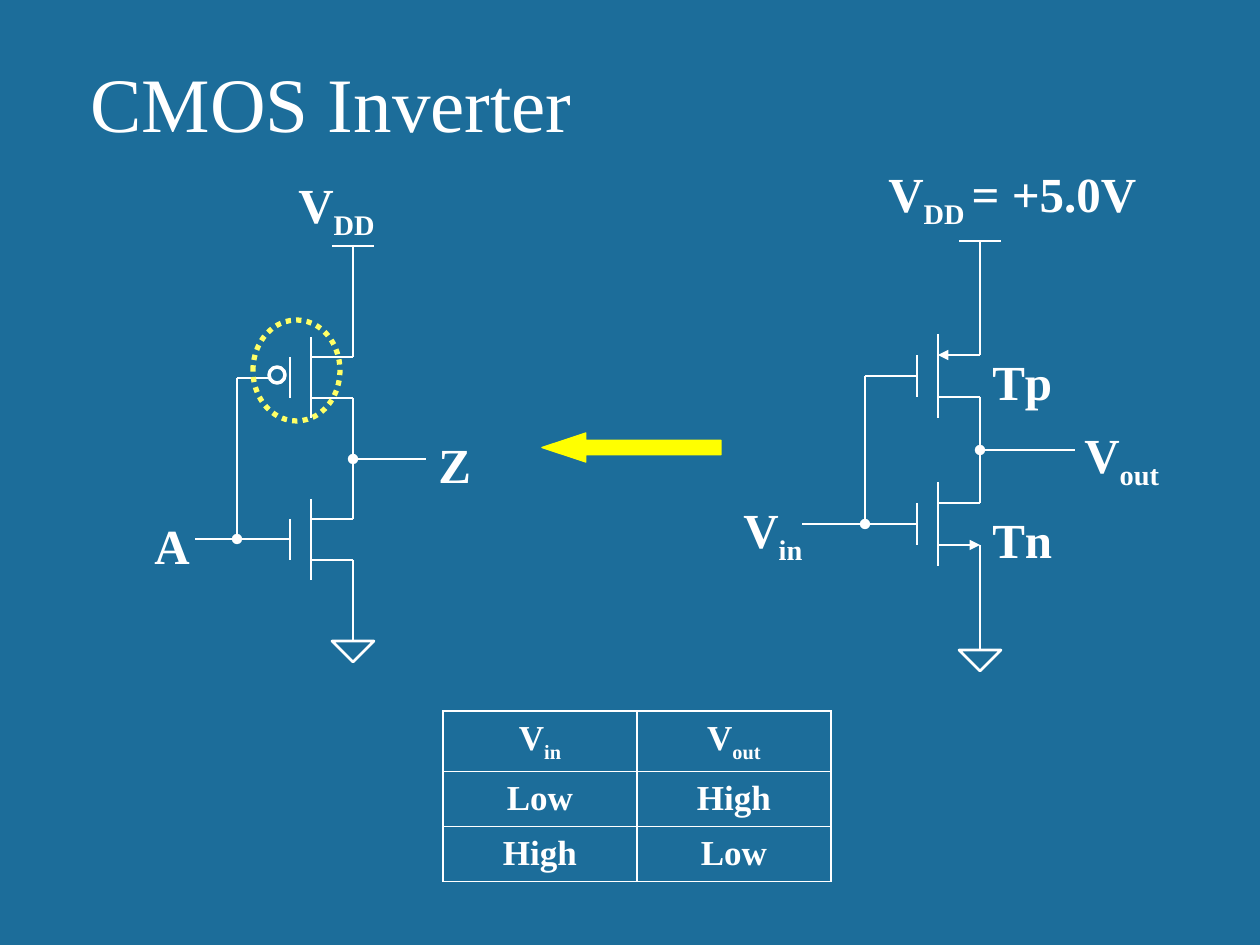
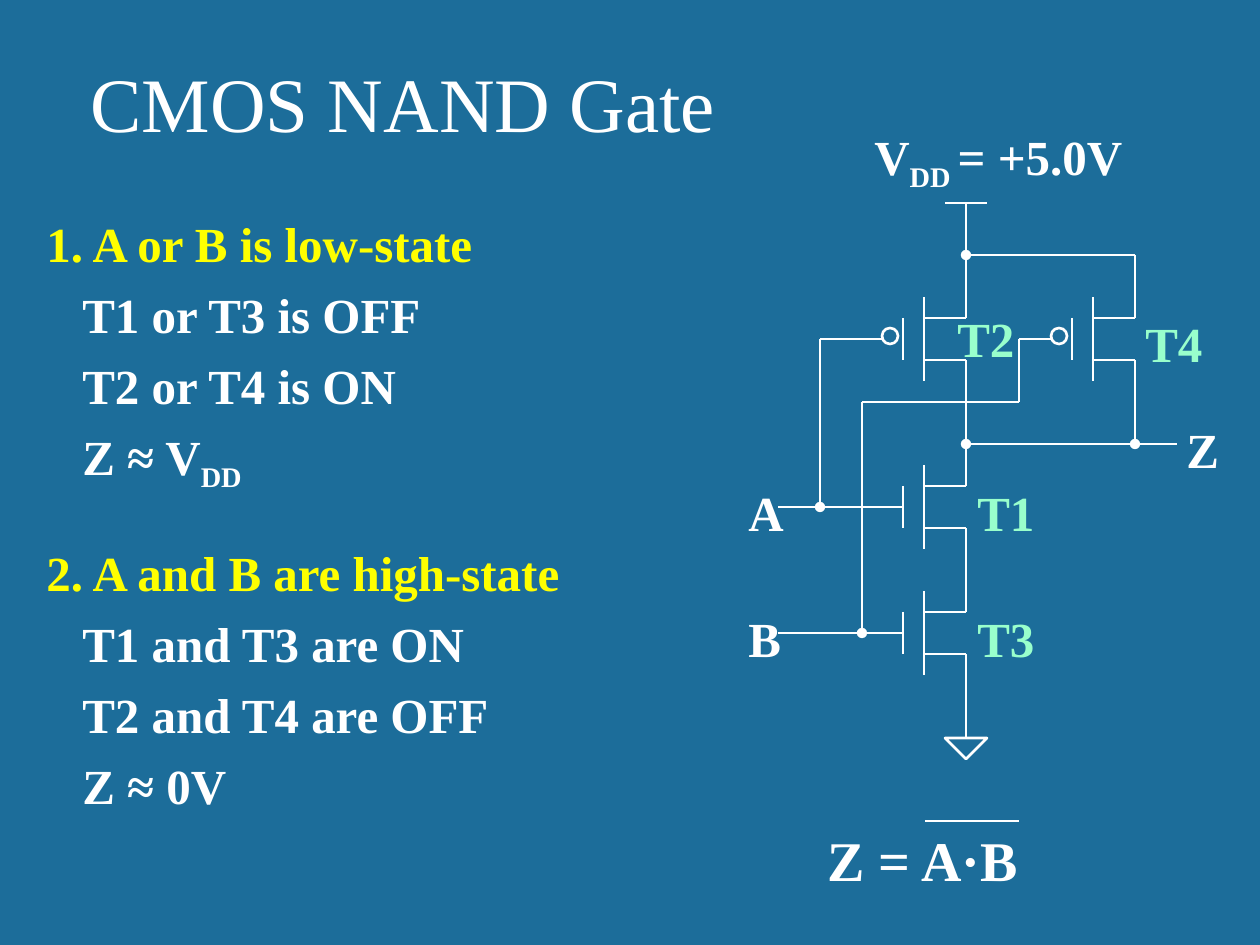
from dataclasses import dataclass
from itertools import pairwise
from lxml.etree import SubElement
from pptx import Presentation
from pptx.dml.color import RGBColor
from pptx.enum.dml import MSO_LINE
from pptx.enum.shapes import MSO_CONNECTOR, MSO_SHAPE
from pptx.enum.text import MSO_ANCHOR, MSO_AUTO_SIZE, PP_ALIGN
from pptx.oxml.ns import qn
from pptx.util import Emu, Pt

INK = {"back": "1C6D9A", "white": "FFFFFF", "lemon": "FFFF00",
       "pale": "FFFF66", "mint": "99FFCC"}
FACE = "Times New Roman"
FONT = {
    "title": {"name": FACE, "size": Pt(44), "bold": False},
    "label": {"name": FACE, "size": Pt(28), "bold": True},
    "cell": {"name": FACE, "size": Pt(20), "bold": True},
    "sum": {"name": FACE, "size": Pt(32), "bold": True},
}


def px(num):
    return Emu(round(num * 914400 / 126))


def tint(name):
    return RGBColor.from_string(INK[name])


def write(para, text, kind, ink="white"):
    """Add text to a paragraph; every second part between bars is a subscript."""
    for num, part in enumerate(text.split("|")):
        run = para.add_run()
        run.text = part
        for key, val in FONT[kind].items():
            setattr(run.font, key, val)
        run.font.color.rgb = tint(ink)
        if num % 2:
            run._r.get_or_add_rPr().set("baseline", "-25000")


@dataclass
class Pen:
    """Draws on a slide, measured from the corner of a region."""
    shapes: object
    left: int
    top: int

    def box(self, x, y, wide, high):
        return [px(num) for num in (self.left + x, self.top + y, wide, high)]

    def wire(self, *dots, head=None, tail=None):
        links = list(pairwise(dots))
        for num, (start, end) in enumerate(links):
            ends = [px(val) for x, y in (start, end)
                    for val in (self.left + x, self.top + y)]
            link = self.shapes.add_connector(MSO_CONNECTOR.STRAIGHT, *ends)
            link.line.color.rgb = tint("white")
            link.line.width = Pt(1.5)
            props = link._element.spPr
            line = props.find(qn("a:ln"))
            if head and num == 0:
                SubElement(line, qn("a:headEnd"), type=head)
            if tail and num == len(links) - 1:
                SubElement(line, qn("a:tailEnd"), type=tail)
            SubElement(props, qn("a:effectLst"))

    def form(self, kind, box, ink="white", width=1.5, fill=None):
        item = self.shapes.add_shape(kind, *self.box(*box))
        item.shadow.inherit = False
        item.line.color.rgb = tint(ink)
        item.line.width = Pt(width)
        if fill:
            item.fill.solid()
            item.fill.fore_color.rgb = tint(fill)
        else:
            item.fill.background()
        return item

    def label(self, text, x, y, wide=90, high=72, kind="label", ink="white"):
        frame = self.shapes.add_textbox(*self.box(x, y, wide, high)).text_frame
        frame.word_wrap = True
        write(frame.paragraphs[0], text, kind, ink)

    # Circuit parts; x is the column that joins source and drain
    def supply(self, x, y, low):
        self.wire((x - 21, y), (x + 21, y))
        self.wire((x, y), (x, low))

    def ground(self, x, high, y):
        self.wire((x, high), (x, y))
        self.form(MSO_SHAPE.ISOSCELES_TRIANGLE, (x - 21, y, 42, 21)).rotation = 180

    def switch(self, x, y, gap=42, head=None, tail=None):
        half = gap // 2
        self.wire((x - 63, y), (x - 63, y + gap))
        self.wire((x - 42, y - half), (x - 42, y + gap + half))
        self.wire((x - 42, y), (x, y), head=head)
        self.wire((x - 42, y + gap), (x, y + gap), tail=tail)

    def bubble(self, x, y, width=1.5):
        self.form(MSO_SHAPE.OVAL, (x - 84, y + 10, 16, 16), width=width)


def start(deck, text):
    slide = deck.slides.add_slide(deck.slide_layouts[5])
    title = slide.shapes.title
    place = {"left": 78, "top": 49, "width": 1071, "height": 105}
    for key, val in place.items():
        setattr(title, key, px(val))
    frame = title.text_frame
    look = {"auto_size": MSO_AUTO_SIZE.NONE, "word_wrap": True,
            "vertical_anchor": MSO_ANCHOR.BOTTOM}
    for key, val in look.items():
        setattr(frame, key, val)
    para = frame.paragraphs[0]
    para.alignment = PP_ALIGN.LEFT
    write(para, text, "title")
    return slide.shapes


def gate_view(shapes, left, top):
    """Inverter drawn with a bubble on the upper gate."""
    pen = Pen(shapes, left, top)
    rail, join, gap = 211, 95, 41
    pen.supply(rail, 79, 190)
    pen.switch(rail, 190, gap)
    pen.bubble(rail, 190, 2)
    pen.wire((rail, 231), (rail, 352))
    pen.switch(rail, 352, gap)
    pen.ground(rail, 393, 474)
    pen.wire((rail, 292), (284, 292), head="oval")
    pen.wire((rail - 84, 211), (join, 211), (join, 372), tail="oval")
    pen.wire((rail - 63, 372), (53, 372))
    pen.label("V|DD", 144, 1, 118)
    pen.label("A", 0, 342)
    pen.label("Z", 284, 261)
    # Highlight around the bubble
    ring = pen.form(MSO_SHAPE.OVAL, (111, 153, 87, 101), "pale", 3)
    ring.line.dash_style = MSO_LINE.ROUND_DOT


def volt_view(shapes, left, top):
    """Inverter drawn with arrows on its two transistors."""
    pen = Pen(shapes, left, top)
    rail, join = 250, 135
    pen.supply(rail, 84, 198)
    pen.switch(rail, 198, head="triangle")
    pen.wire((rail, 240), (rail, 346))
    pen.switch(rail, 346, tail="triangle")
    pen.ground(rail, 388, 493)
    pen.wire((rail, 293), (345, 293), head="oval")
    pen.wire((rail - 63, 219), (join, 219), (join, 367), tail="oval")
    pen.wire((rail - 63, 367), (72, 367))
    pen.label("V|DD |= +5.0V", 146, 0, 284)
    pen.label("V|out", 342, 261, 110)
    pen.label("V|in", 1, 336, 100)
    pen.label("Tp", rail, 188)
    pen.label("Tn", rail, 346)


def truth(shapes, left, top):
    rows = [("V|in", "V|out"), ("Low", "High"), ("High", "Low")]
    high = [60, 55, 55]
    box = Pen(shapes, left, top).box(0, 0, 388, sum(high))
    table = shapes.add_table(len(rows), 2, *box).table
    table.first_row = table.horz_banding = False
    for r, texts in enumerate(rows):
        table.rows[r].height = px(high[r])
        for c, text in enumerate(texts):
            cell = table.cell(r, c)
            cell.vertical_anchor = MSO_ANCHOR.MIDDLE
            para = cell.text_frame.paragraphs[0]
            para.alignment = PP_ALIGN.CENTER
            write(para, text, "cell")
            props = cell._tc.get_or_add_tcPr()
            for side in "LRTB":
                line = SubElement(props, qn("a:ln" + side), w=str(Pt(1)))
                fill = SubElement(line, qn("a:solidFill"))
                SubElement(fill, qn("a:srgbClr"), val=INK["white"])
            cell.fill.background()


def cases(shapes, left, top):
    """Two cases, each a heading with indented results."""
    groups = [
        ("1. A or B is low-state",
         ["T1 or T3 is OFF", "T2 or T4 is ON", "Z ≈ V|DD"]),
        ("2. A and B are high-state",
         ["T1 and T3 are ON", "T2 and T4 are OFF", "Z ≈ 0V"]),
    ]
    box = Pen(shapes, left, top).box(0, 0, 640, 600)
    frame = shapes.add_textbox(*box).text_frame
    frame.word_wrap = True
    for num, (head, lines) in enumerate(groups):
        para = frame.add_paragraph() if num else frame.paragraphs[0]
        para.space_before = Pt(28 if num else 0)
        write(para, head, "label", "lemon")
        for text in lines:
            para = frame.add_paragraph()
            para.space_before = Pt(7)
            para._p.get_or_add_pPr().set("marL", str(px(36)))
            write(para, text, "label")


def nand(shapes, left, top):
    pen = Pen(shapes, left, top)
    rail, side, out = 231, 400, 325
    pen.supply(rail, 84, 199)
    # Upper pair, in parallel
    for x in (rail, side):
        pen.switch(x, 199)
        pen.bubble(x, 199)
    pen.wire((rail, 136), (side, 136), (side, 199), head="oval")
    pen.wire((side, 241), (side, out), tail="oval")
    # Lower pair, in series
    pen.wire((rail, 241), (rail, 367))
    pen.switch(rail, 367)
    pen.wire((rail, 409), (rail, 493))
    pen.switch(rail, 493)
    pen.ground(rail, 535, 619)
    # Output and inputs
    pen.wire((rail, out), (442, out), head="oval")
    pen.wire((rail - 84, 220), (85, 220), (85, 388), tail="oval")
    pen.wire((side - 84, 220), (284, 220), (284, 283), (127, 283), (127, 514),
             tail="oval")
    for y in (388, 514):
        pen.wire((rail - 63, y), (43, y))
    pen.label("V|DD |= +5.0V", 127, 1, 284)
    pen.label("Z", 439, 294, 60)
    pen.label("A", 1, 357)
    pen.label("B", 1, 483)
    names = {"T1": (230, 357), "T2": (210, 183), "T4": (398, 188), "T3": (230, 483)}
    for name, spot in names.items():
        pen.label(name, *spot, ink="mint")


def result(shapes, left, top):
    pen = Pen(shapes, left, top)
    pen.label("Z = A·B", 0, 0, 344, 81, "sum")
    pen.wire((204, 2), (110, 2))


def main():
    deck = Presentation()
    deck.slide_width, deck.slide_height = px(1260), px(945)
    back = deck.slide_master.background.fill
    back.solid()
    back.fore_color.rgb = tint("back")

    # Inverter: two views, the arrow between them, the truth table
    shapes = start(deck, "CMOS Inverter")
    volt_view(shapes, 730, 157)
    gate_view(shapes, 142, 167)
    arrow = Pen(shapes, 542, 433).form(
        MSO_SHAPE.LEFT_ARROW, (0, 0, 179, 29), "lemon", 0.75, "lemon")
    arrow.adjustments[1] = 1.51
    truth(shapes, 443, 711)

    # NAND gate: the cases, the circuit, the formula
    shapes = start(deck, "CMOS NAND Gate")
    cases(shapes, 34, 207)
    nand(shapes, 735, 119)
    result(shapes, 815, 819)

    deck.save("out.pptx")


if __name__ == "__main__":
    main()
